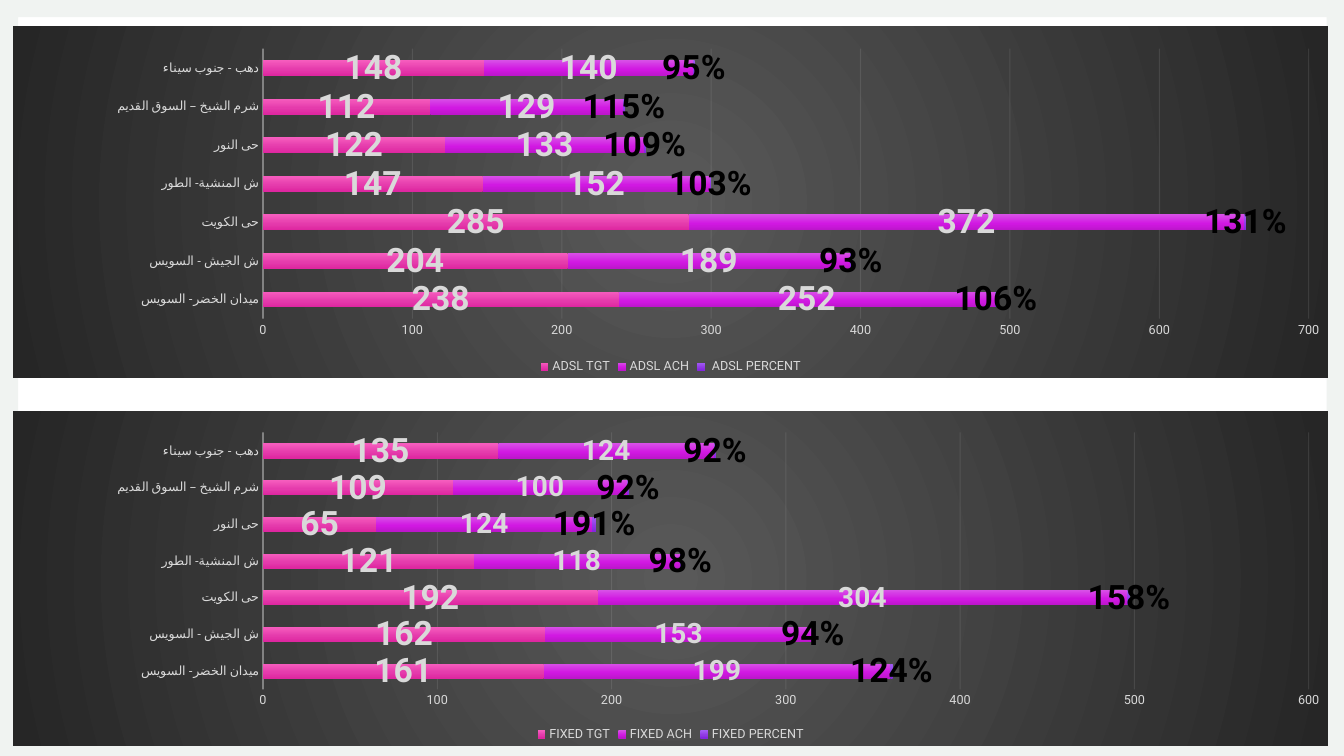
"""Build a slide with two stacked bar charts of target, achievement and percent by branch."""
from dataclasses import dataclass

from lxml.etree import SubElement
from pptx import Presentation
from pptx.chart.data import CategoryChartData
from pptx.dml.color import RGBColor
from pptx.enum.chart import XL_CHART_TYPE, XL_LABEL_POSITION, XL_LEGEND_POSITION, XL_TICK_MARK
from pptx.oxml import parse_xml
from pptx.oxml.ns import nsdecls, qn
from pptx.util import Cm, Pt


@dataclass(frozen=True)
class Theme:
    font: str = "Roboto"
    frame: str = "F0F3F1"
    text: str = "D9D9D9"
    line: str = "F2F2F2"
    percent_text: str = "000000"
    backdrop: tuple = ((0, "595959"), (100, "262626"))
    bars: tuple = (
        ((0, "F65DBE"), (60, "E53BAC"), (100, "DE27A0")),
        ((0, "D850E7"), (60, "D118E2"), (100, "BD16CC")),
        ((0, "A35DF6"), (60, "903BE5"), (100, "8327DE")),
    )
    base_size: int = 10
    axis_size: int = 9


def gradient_xml(stops, direction):
    """Return gradient fill markup for percent and colour stops."""
    stop_list = "".join(
        f'<a:gs pos="{position * 1000}"><a:srgbClr val="{color}"/></a:gs>'
        for position, color in stops
    )
    return f'<a:gradFill {nsdecls("a")} rotWithShape="1"><a:gsLst>{stop_list}</a:gsLst>{direction}</a:gradFill>'


def style_line(line, width, opacity):
    """Draw a translucent line in the theme's line colour."""
    line.width = Pt(width)
    line.color.rgb = RGBColor.from_string(theme.line)
    color = line._ln.find(".//" + qn("a:srgbClr"))
    SubElement(color, qn("a:alpha"), val=str(opacity * 1000))


theme = Theme()
downward = '<a:lin ang="5400000" scaled="0"/>'
radial = '<a:path path="circle"><a:fillToRect l="50000" t="50000" r="50000" b="50000"/></a:path>'
plot_layout = {"x": 0.19, "y": 0.064, "w": 0.795, "h": 0.768}

branches = (
    "ميدان الخضر- السويس",
    "ش الجيش - السويس",
    "حى الكويت",
    "ش المنشية- الطور",
    "حى النور",
    " شرم الشيخ – السوق القديم",
    "دهب - جنوب سيناء",
)
charts = (
    {
        "top": 0.66, "height": 8.86, "maximum": 700, "label_sizes": (24, 24, 24),
        "series": {
            "ADSL TGT": (238, 204, 285, 147, 122, 112, 148),
            "ADSL ACH": (252, 189, 372, 152, 133, 129, 140),
            " ADSL PERCENT": (1.06, 0.93, 1.31, 1.03, 1.09, 1.15, 0.95),
        },
    },
    {
        "top": 10.36, "height": 8.43, "maximum": 600, "label_sizes": (24, 20, 24),
        "series": {
            "FIXED TGT": (161, 162, 192, 121, 65, 109, 135),
            "FIXED ACH": (199, 153, 304, 118, 124, 100, 124),
            "FIXED PERCENT": (1.24, 0.94, 1.58, 0.98, 1.91, 0.92, 0.92),
        },
    },
)

presentation = Presentation()
presentation.slide_width = width = Cm(33.87)
presentation.slide_height = height = Cm(19.05)
slide = presentation.slides.add_slide(presentation.slide_layouts[6])

left, top, right, bottom = Cm(0.46), Cm(0.43), Cm(33.43), Cm(18.62)
builder = slide.shapes.build_freeform(left, top)
builder.add_line_segments([(left, bottom), (right, bottom), (right, top)], close=True)
builder.move_to(0, 0)
builder.add_line_segments([(width, 0), (width, height), (0, height)], close=True)
frame = builder.convert_to_shape()
frame.shadow.inherit = False
frame.fill.solid()
frame.fill.fore_color.rgb = RGBColor.from_string(theme.frame)
frame.line.fill.background()

for settings in charts:
    chart_data = CategoryChartData()
    chart_data.categories = branches
    for name, values in settings["series"].items():
        chart_data.add_series(name, values)
    chart = slide.shapes.add_chart(
        XL_CHART_TYPE.BAR_STACKED, Cm(0.33), Cm(settings["top"]),
        Cm(33.15), Cm(settings["height"]), chart_data,
    ).chart
    chart.has_title = False
    chart.font.name = theme.font
    chart.font.size = Pt(theme.base_size)
    chart.has_legend = True
    chart.legend.position = XL_LEGEND_POSITION.BOTTOM
    chart.legend.include_in_layout = False

    chart_element = chart._chartSpace.find(qn("c:chart"))
    chart_element.addnext(parse_xml(
        f'<c:spPr {nsdecls("c", "a")}>{gradient_xml(theme.backdrop, radial)}'
        '<a:ln><a:noFill/></a:ln></c:spPr>'
    ))
    plot_area = chart_element.find(qn("c:plotArea"))
    for layout in plot_area.findall(qn("c:layout")):
        plot_area.remove(layout)
    layout = parse_xml(f'<c:layout {nsdecls("c")}/>')
    plot_area.insert(0, layout)
    manual_layout = SubElement(layout, qn("c:manualLayout"))
    SubElement(manual_layout, qn("c:layoutTarget"), val="inner")
    for side in ("x", "y"):
        SubElement(manual_layout, qn(f"c:{side}Mode"), val="edge")
    for measure, share in plot_layout.items():
        SubElement(manual_layout, qn(f"c:{measure}"), val=str(share))

    category_axis, value_axis = chart.category_axis, chart.value_axis
    for axis in (category_axis, value_axis):
        axis.major_tick_mark = XL_TICK_MARK.NONE
        axis.minor_tick_mark = XL_TICK_MARK.NONE
    for font in (category_axis.tick_labels.font, value_axis.tick_labels.font, chart.legend.font):
        font.name = theme.font
        font.size = Pt(theme.axis_size)
        font.color.rgb = RGBColor.from_string(theme.text)
    style_line(category_axis.format.line, 1, 54)
    value_axis.format.line.fill.background()
    value_axis.minimum_scale = 0
    value_axis.maximum_scale = settings["maximum"]
    value_axis.major_unit = 100
    value_axis.has_major_gridlines = True
    style_line(value_axis.major_gridlines.format.line, 0.75, 10)

    plot = chart.plots[0]
    plot.gap_width = 150
    plot.overlap = 100
    plot.vary_by_categories = False
    label_colors = (theme.text, theme.text, theme.percent_text)
    label_formats = ("General", "General", "0%")
    for series, stops, size, color, number_format in zip(
        plot.series, theme.bars, settings["label_sizes"], label_colors, label_formats
    ):
        series._element.get_or_add_spPr().append(parse_xml(gradient_xml(stops, downward)))
        labels = series.data_labels
        labels.show_value = True
        labels.position = XL_LABEL_POSITION.CENTER
        labels.number_format = number_format
        labels.number_format_is_linked = False
        labels.font.name = theme.font
        labels.font.size = Pt(size)
        labels.font.bold = True
        labels.font.color.rgb = RGBColor.from_string(color)

presentation.save("out.pptx")
